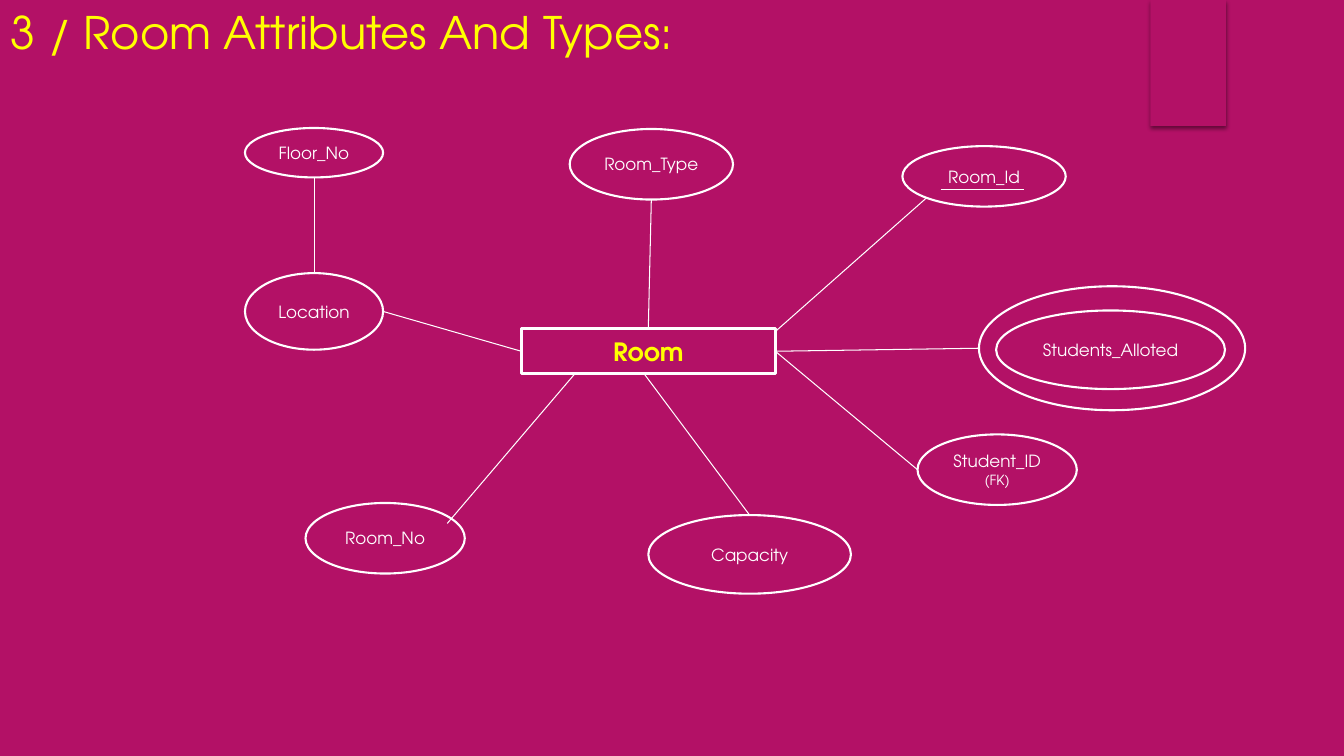
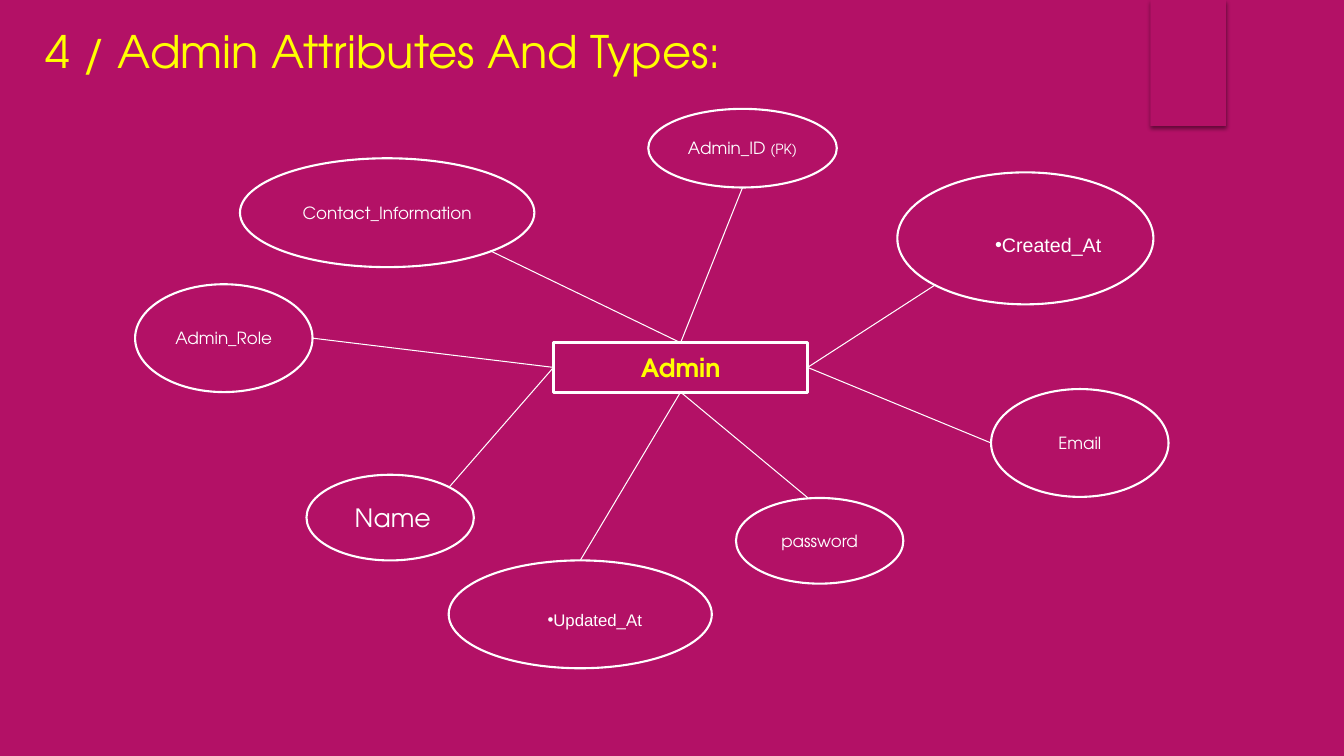
"""Build two entity-attribute diagram slides, Room and Admin."""
import pptx
import pptx.dml.color
import pptx.enum.shapes
import pptx.enum.text
import pptx.oxml
import pptx.oxml.ns
import pptx.util
from pptx.util import Inches

COLORS = {"ground": "B31166", "ink": "FFFFFF", "accent": "FFFF00", "shade": "000000"}
FONT = "TeX Gyre Adventor"
SHAPE = pptx.enum.shapes.MSO_SHAPE
ALIGN = pptx.enum.text.PP_ALIGN
NS = pptx.oxml.ns.nsdecls("a")
TOP, LEFT, BOTTOM, RIGHT = range(4)
RIM = {
    "top": (0.5, 0), "left": (0, 0.5), "bottom": (0.5, 1), "right": (1, 0.5),
    "lower left": (0.15, 0.85), "lower right": (0.85, 0.85),
    "upper right": (0.85, 0.15), "upper middle": (0.43, 0),
    "inner right": (0.89, 0.29),
}


def rgb(name):
    """Return the named palette colour."""
    return pptx.dml.color.RGBColor.from_string(COLORS[name])


def add_run(paragraph, words, size=12, color="ink", font=FONT, bold=False):
    """Append one formatted run."""
    run = paragraph.add_run()
    run.text = words
    run.font.size = pptx.util.Pt(size)
    run.font.name = font
    run.font.bold = bold
    run.font.color.rgb = rgb(color)


def add_outline(slide, kind, box, width):
    """Add an unfilled white outline shape."""
    outline = slide.shapes.add_shape(kind, *map(Inches, box))
    outline.shadow.inherit = False
    outline.fill.background()
    outline.line.color.rgb = rgb("ink")
    outline.line.width = pptx.util.Pt(width)
    outline.text_frame.vertical_anchor = pptx.enum.text.MSO_ANCHOR.MIDDLE
    return outline


def add_label(slide, box, words, size, color="ink", wrap=True):
    """Add a free-standing line of text."""
    frame = slide.shapes.add_textbox(*map(Inches, box)).text_frame
    frame.word_wrap = wrap
    add_run(frame.paragraphs[0], words, size, color)


def add_entity(slide, box, name):
    """Add the central entity rectangle."""
    entity = add_outline(slide, SHAPE.RECTANGLE, box, 2.25)
    heading = entity.text_frame.paragraphs[0]
    heading.alignment = ALIGN.CENTER
    add_run(heading, name, 18, "accent", bold=True)
    return entity


def add_attribute(slide, box, name="", key="", key_below=False):
    """Add an attribute ellipse with an optional small key mark."""
    frame = add_outline(slide, SHAPE.OVAL, box, 1.5).text_frame
    frame.margin_left = frame.margin_right = Inches(0.05)
    label = frame.paragraphs[0]
    label.alignment = ALIGN.CENTER
    if name:
        add_run(label, name)
    if key_below:
        label.add_line_break()
    if key:
        add_run(label, key, 10)


def add_bulleted_attribute(slide, box, name, size):
    """Add an attribute ellipse whose name is an indented bullet."""
    label = add_outline(slide, SHAPE.OVAL, box, 1.5).text_frame.paragraphs[0]
    label.alignment = ALIGN.LEFT
    label.level = 1
    label.line_spacing = 1.5
    add_run(label, name, size, font="Arial")
    properties = label._p.get_or_add_pPr()
    properties.set("marL", str(Inches(0.5)))
    properties.set("indent", "0")
    for bullet in ('<a:buFont %s typeface="Arial"/>', '<a:buChar %s char="•"/>'):
        properties.append(pptx.oxml.parse_xml(bullet % NS))


def add_line(slide, start, end):
    """Add a thin white line."""
    line = slide.shapes.add_connector(
        pptx.enum.shapes.MSO_CONNECTOR.STRAIGHT, *map(Inches, (*start, *end)))
    line.line.color.rgb = rgb("ink")
    line.line.width = pptx.util.Pt(0.75)
    line._element.spPr.append(pptx.oxml.parse_xml("<a:effectLst %s/>" % NS))
    return line


def rim_point(box, place):
    """Return the point at a named place on an ellipse's rim."""
    left, top, width, height = box
    across, down = RIM[place]
    return left + width * across, top + height * down


def add_spoke(slide, box, place, entity, target):
    """Join an attribute to a side of the entity or to a given point."""
    start = rim_point(box, place)
    if isinstance(target, tuple):
        add_line(slide, start, target)
    else:
        add_line(slide, start, start).end_connect(entity, target)


def add_ribbon(slide):
    """Add the shadowed tab hanging from the top edge."""
    ribbon = slide.shapes.add_shape(
        SHAPE.RECTANGLE, *map(Inches, (11.41, 0, 0.75, 1.25)))
    ribbon.shadow.inherit = False
    ribbon.fill.solid()
    ribbon.fill.fore_color.rgb = rgb("ground")
    ribbon.line.fill.background()
    effects = ribbon._element.spPr.find(pptx.oxml.ns.qn("a:effectLst"))
    effects.append(pptx.oxml.parse_xml(
        '<a:outerShdw %s blurRad="%d" dist="%d" dir="5400000" rotWithShape="0">'
        '<a:srgbClr val="%s"><a:alpha val="45000"/></a:srgbClr></a:outerShdw>'
        % (NS, pptx.util.Pt(3), pptx.util.Pt(2), COLORS["shade"])))


def start_slide(deck, title, title_box):
    """Add a slide with the shared ribbon and title style."""
    slide = deck.slides.add_slide(deck.slide_layouts[6])
    slide.background.fill.solid()
    slide.background.fill.fore_color.rgb = rgb("ground")
    add_ribbon(slide)
    add_label(slide, title_box, title, 32, "accent")
    return slide


def build_room(deck):
    """Build the Room diagram."""
    slide = start_slide(deck, "3 / Room Attributes And Types:", (0.01, 0, 7.39, 0.64))
    room = add_entity(slide, (5.17, 3.26, 2.52, 0.45), "Room")
    location = (2.43, 2.71, 1.37, 0.76)
    floor = (2.43, 1.27, 1.37, 0.49)
    attributes = [
        ((8.95, 1.45, 1.62, 0.6), ("Room_Id",), "lower left", (7.7, 3.28)),
        ((5.65, 1.28, 1.62, 0.7), ("Room_Type",), "bottom", TOP),
        ((6.43, 5.11, 2.01, 0.78), ("Capacity",), "top", (6.39, 3.71)),
        (location, ("Location",), "right", LEFT),
        (floor, ("Floor_No",), "bottom", rim_point(location, "top")),
        ((9.71, 2.84, 2.64, 1.23), (), "left", RIGHT),
        ((9.1, 4.31, 1.58, 0.7), ("Student_ID", "(FK)", True), "left", RIGHT),
        ((3.03, 4.99, 1.58, 0.7), ("Room_No",), "inner right", (5.7, 3.71)),
    ]
    for box, label, place, target in attributes:
        add_attribute(slide, box, *label)
        add_spoke(slide, box, place, room, target)
    add_attribute(slide, (9.88, 3.08, 2.27, 0.78), "Students_Alloted")
    add_line(slide, (9.33, 1.88), (10.16, 1.88))


def build_admin(deck):
    """Build the Admin diagram."""
    slide = start_slide(deck, "4 / Admin Attributes And Types:", (0.35, 0.19, 7.67, 0.64))
    admin = add_entity(slide, (5.49, 3.4, 2.52, 0.49), "Admin")
    attributes = [
        ((3.04, 4.71, 1.66, 0.85), (), "upper right", LEFT),
        ((6.43, 1.08, 1.87, 0.78), ("Admin_ID ", "(PK)"), "bottom", TOP),
        ((2.38, 1.57, 2.92, 1.08), ("Contact_Information",), "lower right", TOP),
        ((7.3, 4.94, 1.66, 0.85), ("password",), "upper middle", BOTTOM),
        ((9.83, 3.86, 1.76, 1.07), ("Email",), "left", RIGHT),
        ((1.34, 2.82, 1.76, 1.07), ("Admin_Role",), "right", LEFT),
    ]
    for box, label, place, target in attributes:
        add_attribute(slide, box, *label)
        add_spoke(slide, box, place, admin, target)
    timestamps = [
        ((8.9, 1.71, 2.54, 1.31), "Created_At", 14, "lower left", RIGHT),
        ((4.45, 5.56, 2.61, 1.07), "Updated_At", 12, "top", BOTTOM),
    ]
    for box, name, size, place, target in timestamps:
        add_bulleted_attribute(slide, box, name, size)
        add_spoke(slide, box, place, admin, target)
    add_label(slide, (3.42, 4.93, 0.96, 0.4), "Name", 18, wrap=False)


def main():
    """Build and save the deck."""
    deck = pptx.Presentation()
    deck.slide_width = Inches(13.33)
    deck.slide_height = Inches(7.5)
    build_room(deck)
    build_admin(deck)
    deck.save("out.pptx")


if __name__ == "__main__":
    main()
